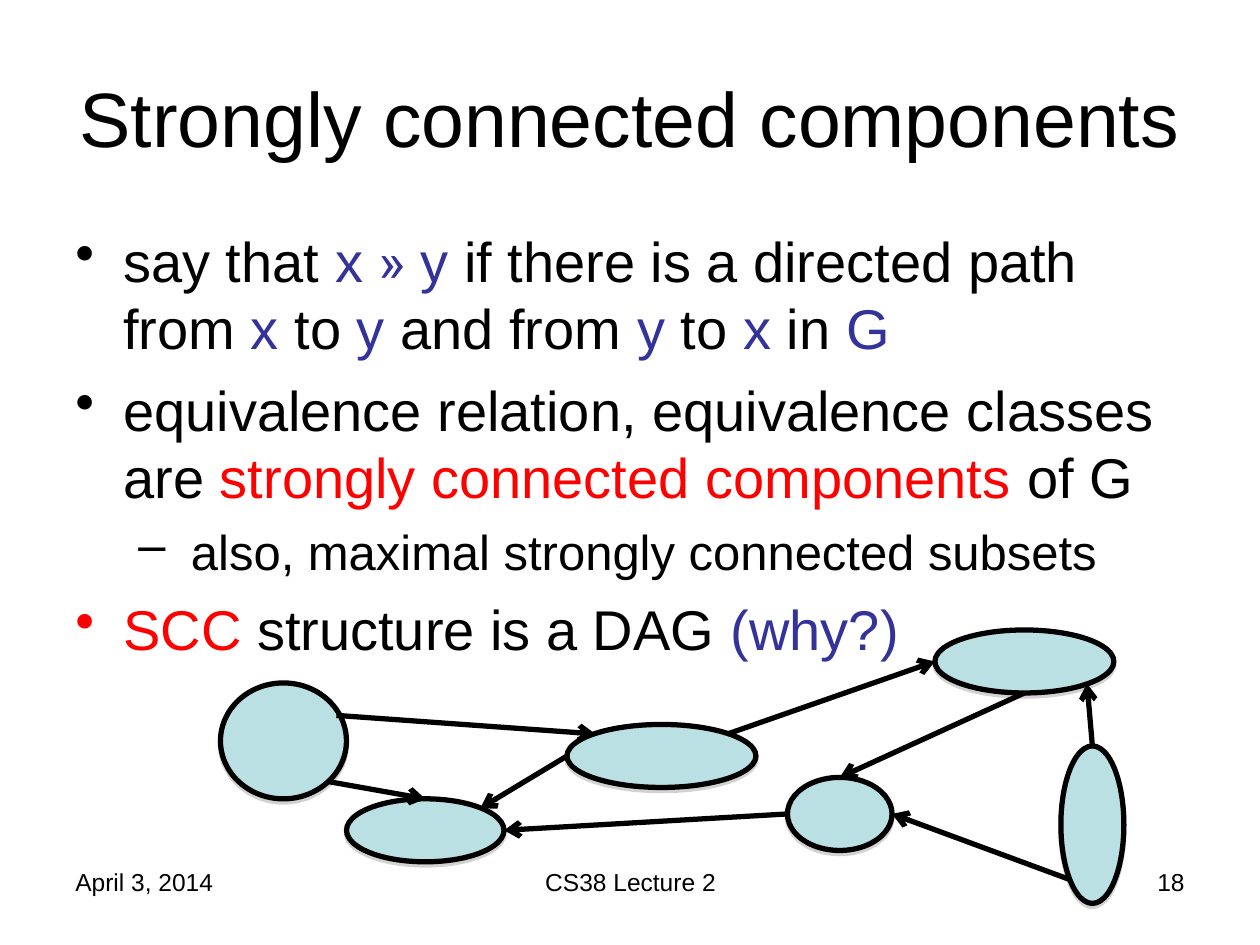
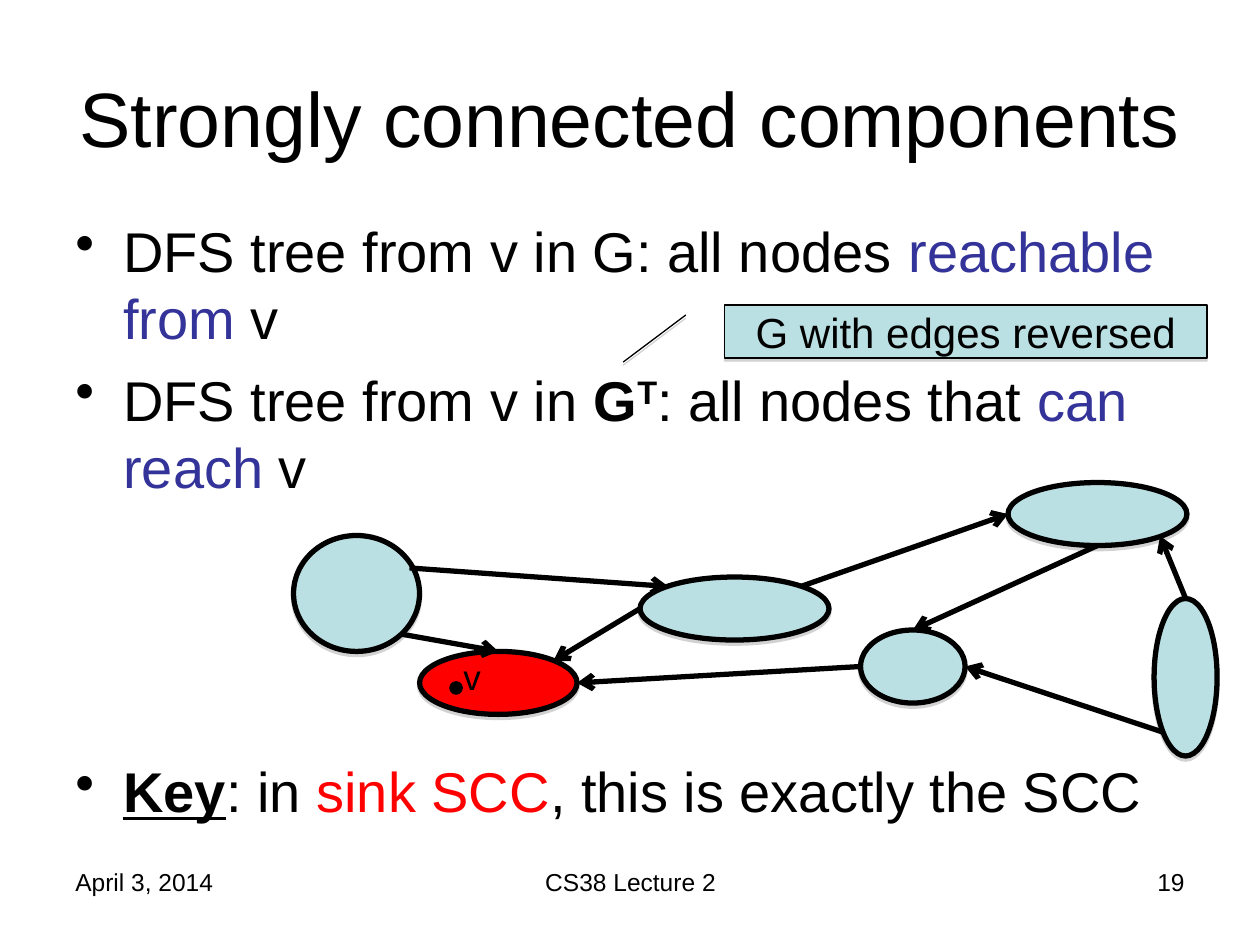
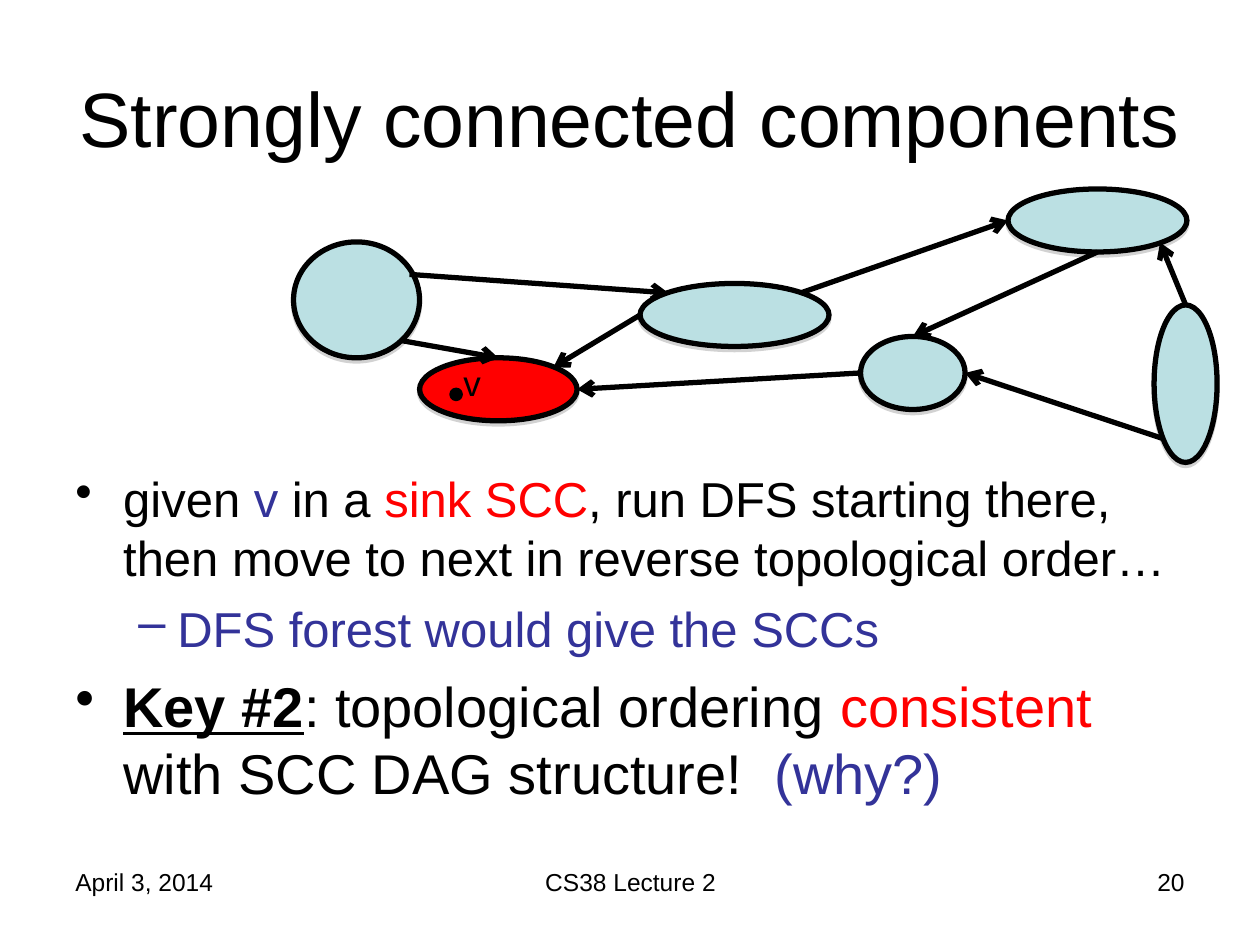
import pptx
import pptx.dml.color
import pptx.enum.shapes
import pptx.enum.text
import pptx.oxml
import pptx.oxml.ns
import pptx.util
from pptx.util import Inches

BLACK, BLUE, RED, AQUA = "000000", "333399", "FF0000", "BBE0E3"
FONT = "Arial"
TITLE = "Strongly connected components"
SHAPE = pptx.enum.shapes.MSO_SHAPE
ALIGN = pptx.enum.text.PP_ALIGN

NODES = {
    "source": (0, 0, 1, 0.92),
    "hub": (2.75, 0.33, 1.5, 0.5),
    "sink": (1, 0.92, 1.25, 0.5),
    "peak": (5.67, -0.42, 1.42, 0.5),
    "tall": (6.83, 0.5, 0.5, 1.25),
    "small": (4.5, 0.75, 0.83, 0.58),
}
SITES = {
    "top": (0.5, 0), "left": (0, 0.5), "bottom": (0.5, 1), "right": (1, 0.5),
    "top left": (0.15, 0.15), "top right": (0.85, 0.15),
    "bottom left": (0.15, 0.85), "bottom right": (0.85, 0.85),
    "upper right": (0.92, 0.28),
}
EDGES = [
    ("source", "upper right", "hub", "top left"),
    ("source", "bottom right", "sink", "top"),
    ("hub", "left", "sink", "top right"),
    ("tall", "top", "peak", "bottom right"),
    ("peak", "bottom", "small", "top"),
    ("tall", "bottom left", "small", "right"),
    ("small", "left", "sink", "right"),
    ("hub", "top right", "peak", "left"),
]


def rgb(value):
    """Turn a hex string into a colour."""
    return pptx.dml.color.RGBColor.from_string(value)


def add_xml(parent, markup):
    """Append a DrawingML element written as markup with the a: prefix."""
    head, tail = markup.split(" ", 1)
    namespace = pptx.oxml.ns.nsdecls("a")
    parent.append(pptx.oxml.parse_xml(f"{head} {namespace} {tail}"))


def site_point(box, site):
    """Locate a connection site on the ellipse in a box."""
    left, top, width, height = box
    across, down = SITES[site]
    return left + across * width, top + down * height


class Deck:
    """Hold the deck style and the current slide."""

    def __init__(self):
        """Open an empty 10 by 7.5 inch deck."""
        self.deck = pptx.Presentation()
        self.deck.slide_width = Inches(10)
        self.deck.slide_height = Inches(7.5)
        self.slide = None

    def style(self, paragraph, size, align=ALIGN.LEFT, color=BLACK):
        """Set the font and alignment of a paragraph."""
        paragraph.alignment = align
        paragraph.font.name = FONT
        paragraph.font.size = pptx.util.Pt(size)
        paragraph.font.color.rgb = rgb(color)

    def new_slide(self, number):
        """Start a slide with its title and footers."""
        self.slide = self.deck.slides.add_slide(self.deck.slide_layouts[5])
        title = self.slide.shapes.title
        title.left, title.top = Inches(0.5), Inches(0.3)
        title.width, title.height = Inches(9), Inches(1.25)
        title.text_frame.text = TITLE
        title.text_frame.vertical_anchor = pptx.enum.text.MSO_ANCHOR.MIDDLE
        self.style(title.text_frame.paragraphs[0], 44, ALIGN.CENTER)
        self.label("April 3, 2014", (0.5, 6.83, 2.33, 0.52), 14)
        self.label("CS38 Lecture 2", (3.42, 6.83, 3.17, 0.52), 14, ALIGN.CENTER)
        self.label(str(number), (7.17, 6.83, 2.33, 0.52), 14, ALIGN.RIGHT)

    def text_frame(self, box):
        """Add a wrapping text box and return its frame."""
        frame = self.slide.shapes.add_textbox(*map(Inches, box)).text_frame
        frame.word_wrap = True
        return frame

    def label(self, text, box, size, align=ALIGN.LEFT):
        """Add a one-line text."""
        frame = self.text_frame(box)
        frame.text = text
        self.style(frame.paragraphs[0], size, align)

    def bullets(self, box, items):
        """Add bullets given as (level, size, space before, runs)."""
        frame = self.text_frame(box)
        for index, (level, size, gap, runs) in enumerate(items):
            paragraph = frame.add_paragraph() if index else frame.paragraphs[0]
            paragraph.level = level
            if index:
                paragraph.space_before = pptx.util.Pt(gap)
            margin, indent, mark = [(0.38, -0.38, "•"), (0.81, -0.31, "–")][level]
            properties = paragraph._p.get_or_add_pPr()
            properties.set("marL", str(Inches(margin)))
            properties.set("indent", str(Inches(indent)))
            first_color = runs[0][1]
            add_xml(properties, f'<a:buClr ><a:srgbClr val="{first_color}"/></a:buClr>')
            add_xml(properties, f'<a:buChar char="{mark}"/>')
            self.style(paragraph, size)
            for run in runs:
                self.add_run(paragraph, *run)

    def add_run(self, paragraph, text, color, look=""):
        """Add a coloured run with an optional look."""
        run = paragraph.add_run()
        run.text = text
        run.font.color.rgb = rgb(color)
        if look in ("key", "bold", "superscript"):
            run.font.bold = True
        if look == "key":
            run.font.underline = True
        if look == "superscript":
            run.font._element.set("baseline", "30000")
        if look == "relation":
            run.font.name = "Roboto"

    def shape(self, kind, box, fill, line_width, shadow=True):
        """Add a filled, outlined shape with an optional soft shadow."""
        shape = self.slide.shapes.add_shape(kind, *map(Inches, box))
        shape.shadow.inherit = False
        shape.fill.solid()
        shape.fill.fore_color.rgb = rgb(fill)
        shape.line.color.rgb = rgb(BLACK)
        shape.line.width = pptx.util.Pt(line_width)
        if shadow:
            effects = shape._element.spPr.find(pptx.oxml.ns.qn("a:effectLst"))
            add_xml(effects, '<a:outerShdw dist="23000" dir="5400000" rotWithShape="0">'
                    '<a:srgbClr val="808080"><a:alpha val="35000"/></a:srgbClr>'
                    '</a:outerShdw>')
        return shape

    def arrow(self, start, end):
        """Draw an arrow between two points."""
        arrow = self.slide.shapes.add_connector(
            pptx.enum.shapes.MSO_CONNECTOR.STRAIGHT, *map(Inches, start + end))
        arrow.line.color.rgb = rgb(BLACK)
        arrow.line.width = pptx.util.Pt(3)
        add_xml(arrow.line._get_or_add_ln(), '<a:tailEnd type="arrow"/>')
        add_xml(arrow._element.spPr, "<a:effectLst />")

    def callout(self, text, box, adjustments):
        """Add a line callout."""
        callout = self.shape(SHAPE.LINE_CALLOUT_1, box, AQUA, 0.75)
        for index, value in enumerate(adjustments):
            callout.adjustments[index] = value
        callout.text_frame.text = text
        self.style(callout.text_frame.paragraphs[0], 24, ALIGN.CENTER)

    def component_graph(self, left, top, tall_shift=0, mark_sink=True):
        """Draw the graph of components, with v in the sink if marked."""
        boxes = {name: (left + x, top + y, width, height)
                 for name, (x, y, width, height) in NODES.items()}
        x, *rest = boxes["tall"]
        boxes["tall"] = (x + tall_shift, *rest)
        for name, box in boxes.items():
            fill = RED if mark_sink and name == "sink" else AQUA
            self.shape(SHAPE.OVAL, box, fill, 3)
        for tail, tail_site, head, head_site in EDGES:
            self.arrow(site_point(boxes[tail], tail_site),
                       site_point(boxes[head], head_site))
        if mark_sink:
            self.shape(SHAPE.OVAL, (left + 1.25, top + 1.17, 0.08, 0.08), BLACK, 2, False)
            self.label("v", (left + 1.25, top + 0.9, 0.5, 0.44), 20)


def main():
    """Build the three slides."""
    deck = Deck()

    deck.new_slide(18)
    deck.bullets((0.5, 1.75, 9, 4.95), [
        (0, 32, 8, [("say that ", BLACK), ("x ", BLUE), ("»", BLUE, "relation"),
                    (" y ", BLUE), ("if there is a directed path from ", BLACK),
                    ("x", BLUE), (" to ", BLACK), ("y", BLUE), (" and from ", BLACK),
                    ("y", BLUE), (" to ", BLACK), ("x", BLUE), (" in ", BLACK),
                    ("G", BLUE)]),
        (0, 32, 8, [("equivalence relation, equivalence classes are ", BLACK),
                    ("strongly connected components ", RED), ("of G", BLACK)]),
        (1, 28, 7, [(" also, maximal strongly connected subsets", BLACK)]),
        (0, 32, 8, [("SCC", RED), (" structure is a DAG ", BLACK), ("(why?)", BLUE)]),
    ])
    deck.component_graph(1.75, 5.42, tall_shift=-0.16, mark_sink=False)

    deck.new_slide(19)
    deck.bullets((0.5, 1.67, 9, 5.03), [
        (0, 32, 8, [("DFS tree from v in G: all nodes ", BLACK),
                    ("reachable from", BLUE), (" v", BLACK)]),
        (0, 32, 8, [("DFS tree from v in ", BLACK), ("G", BLACK, "bold"),
                    ("T", BLACK, "superscript"), (": all nodes that ", BLACK),
                    ("can reach", BLUE), (" v", BLACK)]),
        (0, 32, 147, [("Key", BLACK, "key"), (": in ", BLACK), ("sink SCC", RED),
                      (", this is exactly the SCC", BLACK)]),
    ])
    deck.component_graph(2.33, 4.25)
    deck.callout("G with edges reversed", (5.75, 2.42, 3.83, 0.42),
                 (0.19, -0.08, 1.08, -0.21))

    deck.new_slide(20)
    deck.bullets((0.5, 3.67, 9, 3), [
        (0, 28, 7, [("given ", BLACK), ("v", BLUE), (" in a ", BLACK),
                    ("sink SCC", RED),
                    (", run DFS starting there, then move to next in reverse "
                     "topological order…", BLACK)]),
        (1, 28, 7, [("DFS forest would give the SCCs", BLUE)]),
        (0, 32, 8, [("Key #2", BLACK, "key"), (": topological ordering ", BLACK),
                    ("consistent", RED), (" with SCC DAG structure!  ", BLACK),
                    ("(why?)", BLUE)]),
    ])
    deck.component_graph(2.33, 1.92)

    deck.deck.save("out.pptx")


if __name__ == "__main__":
    main()
